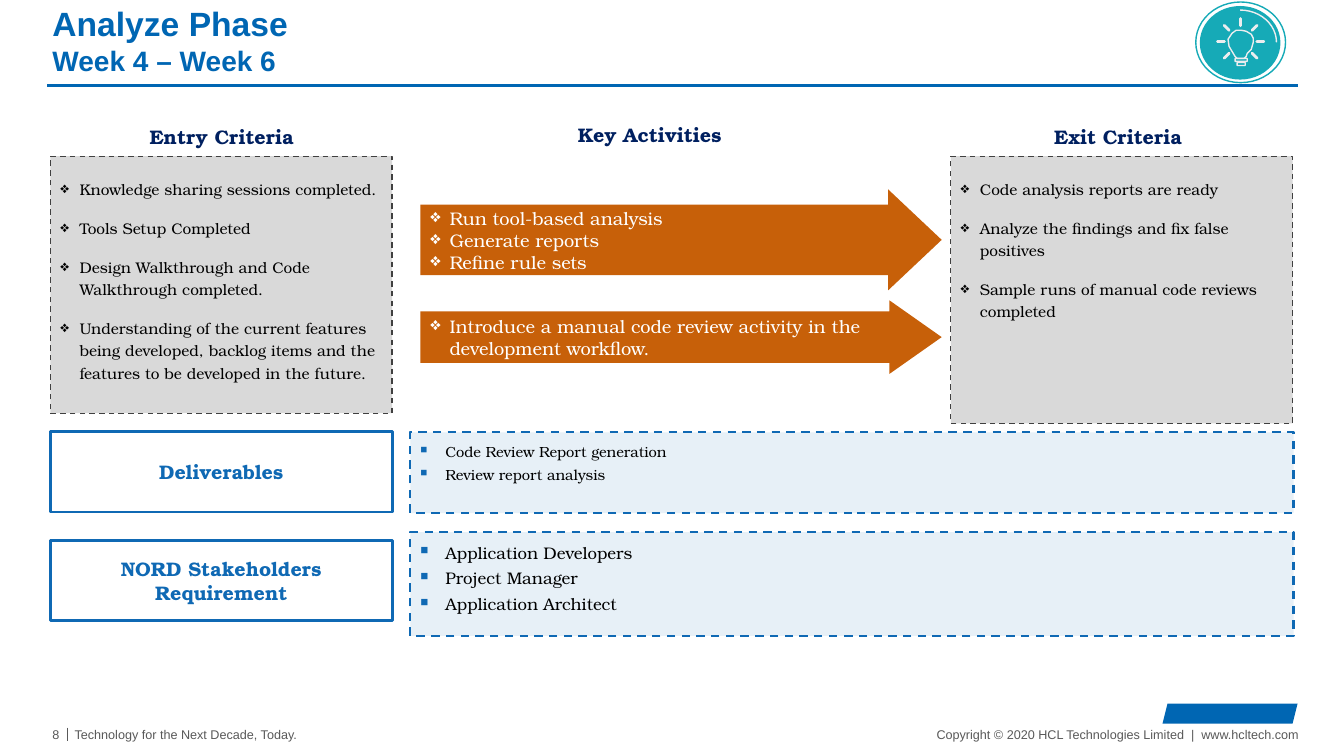
from math import cos, radians, sin

from lxml.etree import SubElement
from pptx import Presentation
from pptx.dml.color import RGBColor
from pptx.enum.dml import MSO_LINE
from pptx.enum.shapes import MSO_CONNECTOR, MSO_SHAPE as Kind
from pptx.enum.text import MSO_ANCHOR as Anchor, MSO_AUTO_SIZE, PP_ALIGN as Align
from pptx.oxml.ns import qn
from pptx.util import Pt

BLUE = RGBColor(0x00, 0x66, 0xB3)
EDGE = RGBColor(0x0F, 0x69, 0xB4)
NAVY = RGBColor(0x00, 0x20, 0x60)
PALE = RGBColor(0xE7, 0xF0, 0xF7)
GRAY = RGBColor(0xD9, 0xD9, 0xD9)
DARK = RGBColor(0x40, 0x40, 0x40)
FOOT = RGBColor(0x59, 0x59, 0x59)
RUST = RGBColor(0xC7, 0x60, 0x09)
TEAL = RGBColor(0x16, 0xAA, 0xB7)
GLOW = RGBColor(0xEC, 0xED, 0xEF)
WHITE = RGBColor(0xFF, 0xFF, 0xFF)
BLACK = RGBColor(0x00, 0x00, 0x00)
SANS = "Arial"
SERIF = "TeX Gyre Bonum"
PX = 9144

TITLE = ["Analyze Phase", "Week 4 – Week 6"]
HEADS = [
    ("Entry Criteria", (82, 119, 276, 34)),
    ("Key Activities", (526, 117, 237, 34)),
    ("Exit Criteria", (982, 119, 254, 34)),
]
LISTS = [
    ((50, 155, 339, 255), [
        "Knowledge sharing sessions completed.",
        "Tools Setup Completed",
        "Design Walkthrough and Code Walkthrough completed.",
        "Understanding of the current features being developed, backlog items "
        "and the features to be developed in the future.",
    ]),
    ((943, 155, 339, 265), [
        "Code analysis reports are ready",
        "Analyze the findings and fix false positives",
        "Sample runs of manual code reviews completed",
    ]),
]
ARROWS = [
    ((417, 188, 517, 100), 0.53,
     ["Run tool-based analysis", "Generate reports", "Refine rule sets"]),
    ((417, 298, 517, 73), 0.71,
     ["Introduce a manual code review activity in the development workflow."]),
]
BANDS = [
    (["Deliverables"], (50, 428, 339, 80), (407, 429, 876, 80), 10.5,
     ["Code Review Report generation", "Review report analysis"]),
    (["NORD Stakeholders", "Requirement"], (50, 536, 339, 80), (407, 528, 876, 103), 12,
     ["Application Developers", "Project Manager", "Application Architect"]),
]
FOOTER = [
    ("8", (44, 721, 15, 15), Align.RIGHT),
    ("Technology for the Next Decade, Today.", (74, 721, 227, 15), Align.LEFT),
    ("Copyright © 2020 HCL Technologies Limited  |  www.hcltech.com",
     (909, 721, 379, 15), Align.RIGHT),
]
BULB = [
    (1231, 58), (1227, 58), (1225, 56), (1222, 51), (1219, 46), (1218, 39),
    (1222, 33), (1226, 30), (1231, 30), (1236, 31), (1241, 34), (1243, 38),
    (1243, 42), (1241, 49), (1237, 53), (1236, 56), (1234, 58),
]
BASE = [(1225, 58, 12, 3), (1227, 62, 8, 3)]
HUB = (1230.5, 41.5)


def scale(box):
    return [int(n * PX) for n in box]


def ink(shape, fill=None, edge=None, width=1, dash=False):
    shape.shadow.inherit = False
    if fill is None:
        shape.fill.background()
    else:
        shape.fill.solid()
        shape.fill.fore_color.rgb = fill
    if edge is None:
        shape.line.fill.background()
    else:
        shape.line.color.rgb = edge
        shape.line.width = Pt(width)
        if dash:
            shape.line.dash_style = MSO_LINE.DASH
    return shape


def draw(host, kind, box, **look):
    return ink(host.add_shape(kind, *scale(box)), **look)


def link(host, ends, color, width, cap="flat"):
    line = host.add_connector(MSO_CONNECTOR.STRAIGHT, *scale(ends))
    line.line.color.rgb = color
    line.line.width = Pt(width)
    props = line._element.spPr
    props.find(qn("a:ln")).set("cap", cap)
    SubElement(props, qn("a:effectLst"))


def mark(para, sign, hang, tint):
    props = para._p.get_or_add_pPr()
    props.set("marL", str(hang * PX))
    props.set("indent", str(-hang * PX))
    if tint is not None:
        color = SubElement(props, qn("a:buClr"))
        SubElement(color, qn("a:srgbClr")).set("val", str(tint))
        SubElement(props, qn("a:buSzPct")).set("val", "65000")
    SubElement(props, qn("a:buChar")).set("char", sign)


def write(shape, rows, size, color, font=SERIF, bold=False, align=Align.LEFT,
          anchor=Anchor.TOP, inset=(10, 5, 10, 5), wrap=True, sign=None,
          hang=19, tint=None, gap=0, lead=1):
    frame = shape.text_frame
    frame.auto_size = MSO_AUTO_SIZE.NONE
    frame.word_wrap = wrap
    frame.vertical_anchor = anchor
    (frame.margin_left, frame.margin_top,
     frame.margin_right, frame.margin_bottom) = scale(inset)
    for i, row in enumerate(rows):
        para = frame.add_paragraph() if i else frame.paragraphs[0]
        para.alignment = align
        if sign:
            mark(para, sign, hang, tint)
        para.line_spacing = lead
        para.space_before = Pt(gap if i else 0)
        para.space_after = Pt(gap)
        run = para.add_run()
        run.text = row
        run.font.name = font
        run.font.size = Pt(size)
        run.font.bold = bold
        run.font.color.rgb = color


def lamp(host):
    draw(host, Kind.OVAL, (1186, 2, 89, 80), edge=TEAL)
    draw(host, Kind.OVAL, (1190, 6, 80, 73), fill=TEAL)
    draw(host, Kind.ARC, (1194, 10, 72, 64), edge=GLOW)
    pen = host.build_freeform(*BULB[0], scale=PX)
    pen.add_line_segments(BULB[1:], close=True)
    ink(pen.convert_to_shape(), edge=GLOW)
    for box in BASE:
        draw(host, Kind.ROUNDED_RECTANGLE, box, edge=GLOW)
    x, y = HUB
    for turn in range(135, 406, 45):
        dx, dy = cos(radians(turn)), sin(radians(turn))
        link(host, (x + 16 * dx, y + 16 * dy, x + 23 * dx, y + 23 * dy), GLOW, 2, "rnd")


def main():
    deck = Presentation()
    deck.slide_width, deck.slide_height = scale((1333, 750))
    slide = deck.slides.add_slide(deck.slide_layouts[5])
    host = slide.shapes

    title = host.title
    title.left, title.top, title.width, title.height = scale((47, 0, 1240, 80))
    write(title, TITLE, 24, BLUE, font=SANS, bold=True, anchor=Anchor.MIDDLE,
          inset=(5, 5, 5, 5))
    title.text_frame.paragraphs[1].runs[0].font.size = Pt(20)
    link(host, (47, 85, 1287, 85), BLUE, 2.25)

    for text, box, align in FOOTER:
        write(host.add_textbox(*scale(box)), [text], 9, FOOT, font=SANS, align=align,
              anchor=Anchor.MIDDLE, inset=(0, 0, 0, 0), wrap=False)
    link(host, (67, 722, 67, 735), FOOT, 0.75)
    draw(host, Kind.PARALLELOGRAM, (1153, 698, 134, 20), fill=BLUE)

    for text, box in HEADS:
        write(host.add_textbox(*scale(box)), [text], 14, NAVY, bold=True,
              align=Align.CENTER)
    for box, rows in LISTS:
        panel = draw(host, Kind.RECTANGLE, box, fill=GRAY, edge=DARK, dash=True)
        write(panel, rows, 11, BLACK, inset=(10, 20, 10, 5), sign="❖", gap=6, lead=1.2)
    for box, tip, rows in ARROWS:
        arrow = draw(host, Kind.RIGHT_ARROW, box, fill=RUST)
        arrow.adjustments[0], arrow.adjustments[1] = 0.7, tip
        write(arrow, rows, 13, WHITE, anchor=Anchor.MIDDLE, sign="❖")
    for name, left, right, size, rows in BANDS:
        label = draw(host, Kind.RECTANGLE, left, fill=WHITE, edge=EDGE, width=2)
        write(label, name, 14, EDGE, bold=True, align=Align.CENTER, anchor=Anchor.MIDDLE)
        panel = draw(host, Kind.RECTANGLE, right, fill=PALE, edge=EDGE, width=1.5, dash=True)
        write(panel, rows, size, BLACK, inset=(10, 10, 10, 10), sign="■", hang=25,
              tint=EDGE, gap=2)

    lamp(host.add_group_shape().shapes)
    deck.save("out.pptx")


if __name__ == "__main__":
    main()
